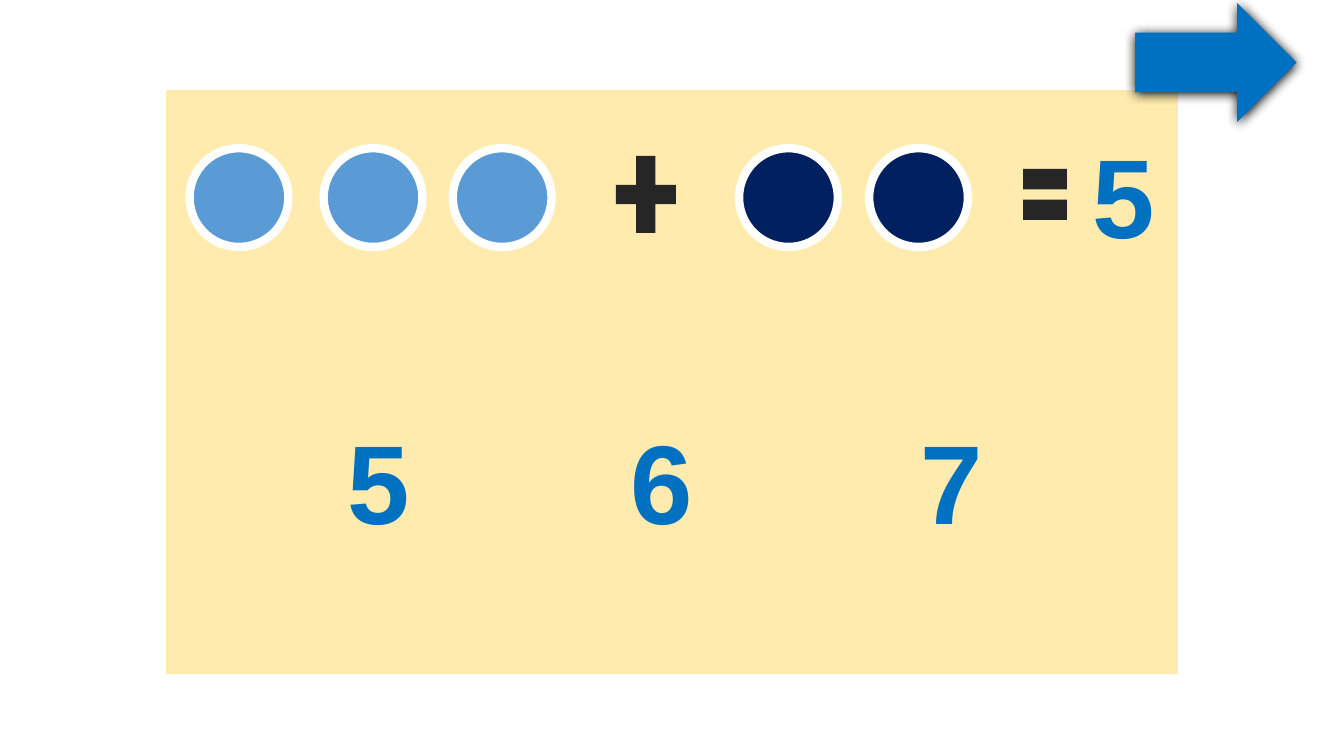
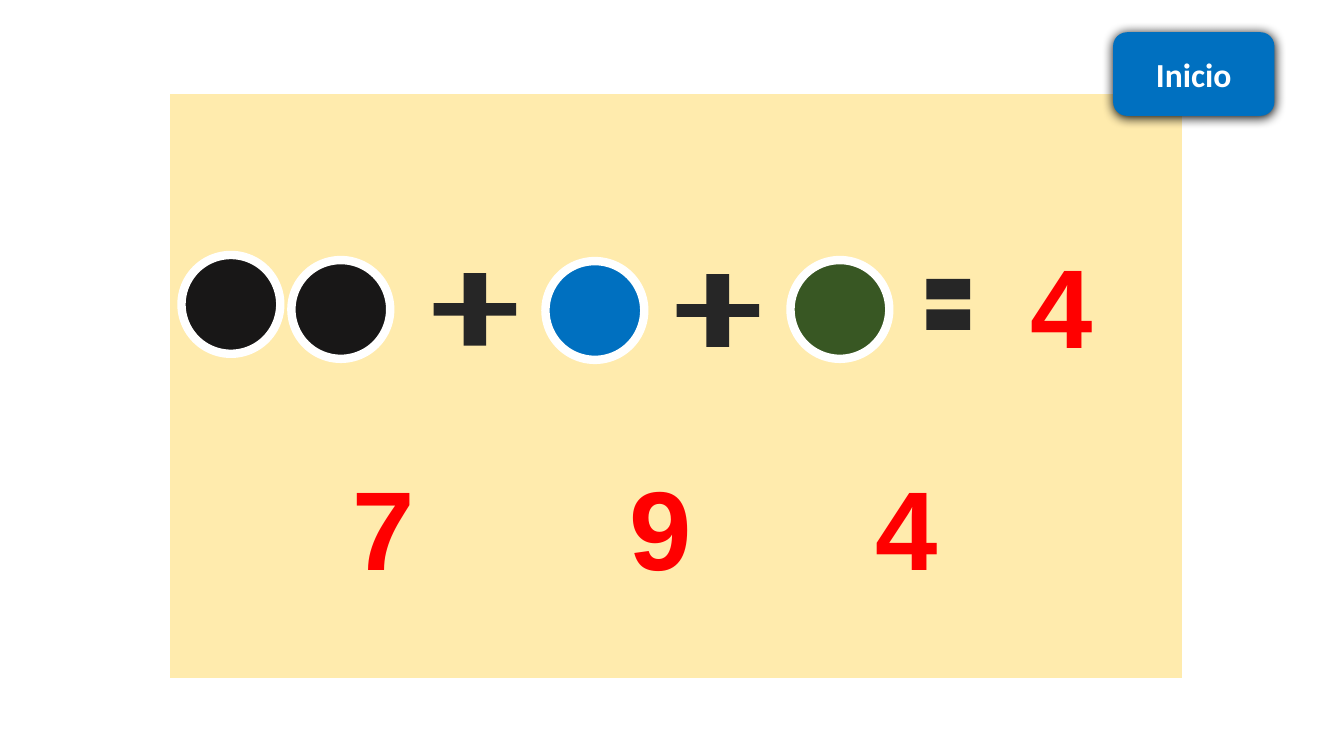
import pptx
import pptx.dml.color
import pptx.enum.shapes
import pptx.enum.text
import pptx.oxml
import pptx.oxml.ns
import pptx.util
from pptx.util import Inches

SHAPE = pptx.enum.shapes.MSO_SHAPE
COLORS = {
    "white": "FFFFFF",
    "cream": "FFE699",
    "blue": "0070C0",
    "sky": "5B9BD5",
    "navy": "002060",
    "black": "181717",
    "green": "385723",
    "sign": "262626",
    "red": "FF0000",
    "gold": "FFC000",
    "lime": "92D050",
    "shadow": "000000",
}
COUNTER_SIZE = 0.98
NUMBER_WIDTH, NUMBER_HEIGHT = 1.64, 1.45
NAMESPACE = pptx.oxml.ns.nsdecls("a")


def rgb(name):
    return pptx.dml.color.RGBColor.from_string(COLORS[name])


def add_figure(page, kind, left, top, width, height, fill, line_width=0):
    """Add a flat filled shape, with a white line if line_width is given."""
    figure = page.shapes.add_shape(
        kind, Inches(left), Inches(top), Inches(width), Inches(height))
    figure.shadow.inherit = False
    figure.fill.solid()
    figure.fill.fore_color.rgb = rgb(fill)
    if line_width:
        figure.line.color.rgb = rgb("white")
        figure.line.width = pptx.util.Pt(line_width)
    else:
        figure.line.fill.background()
    return figure


def add_panel(page, left, top):
    panel = add_figure(page, SHAPE.RECTANGLE, left, top, 10.1, 5.86, "cream", 4.5)
    color = panel.fill._xPr.find(".//" + pptx.oxml.ns.qn("a:srgbClr"))
    color.append(pptx.oxml.parse_xml(f'<a:alpha {NAMESPACE} val="80000"/>'))


def add_counter(page, left, top, fill):
    add_figure(page, SHAPE.OVAL, left, top, COUNTER_SIZE, COUNTER_SIZE, fill, 6)


def add_equals(page, left, top):
    add_figure(page, SHAPE.MATH_EQUAL, left, top, 0.59, 0.86, "sign")


def add_cross(page, left, top):
    cross = add_figure(page, SHAPE.CROSS, left, top, 0.82, 0.72, "sign")
    cross.adjustments[0] = 0.413


def add_button(page, kind, left, top, height):
    """Add a blue navigation shape with a soft shadow below it."""
    button = add_figure(page, kind, left, top, 1.6, height, "blue")
    effects = button._element.spPr.find(pptx.oxml.ns.qn("a:effectLst"))
    effects.append(pptx.oxml.parse_xml(
        f'<a:outerShdw {NAMESPACE} blurRad="{pptx.util.Pt(8.5)}" '
        f'dist="{pptx.util.Pt(1)}" dir="5400000" algn="ctr" rotWithShape="0">'
        f'<a:srgbClr val="{COLORS["shadow"]}"/></a:outerShdw>'))
    return button


def write(frame, text, font, size, color):
    """Write one centred bold paragraph and return it."""
    para = frame.paragraphs[0]
    para.text = text
    para.alignment = pptx.enum.text.PP_ALIGN.CENTER
    para.font.name = font
    para.font.size = pptx.util.Pt(size)
    para.font.bold = True
    para.font.color.rgb = rgb(color)
    return para


def add_number(page, text, left, top, color, outline, width=NUMBER_WIDTH):
    box = page.shapes.add_textbox(
        Inches(left), Inches(top), Inches(width), Inches(NUMBER_HEIGHT))
    frame = box.text_frame
    frame.word_wrap = True
    frame.auto_size = pptx.enum.text.MSO_AUTO_SIZE.SHAPE_TO_FIT_TEXT
    para = write(frame, text, "Arial", 80, color)
    properties = para._p.pPr.find(pptx.oxml.ns.qn("a:defRPr"))
    properties.insert(0, pptx.oxml.parse_xml(
        f'<a:ln {NAMESPACE} w="{pptx.util.Pt(4.5)}"><a:solidFill>'
        f'<a:srgbClr val="{COLORS[outline]}"/></a:solidFill></a:ln>'))


def add_choices(page, choices, top, color, outline):
    for text, left in choices:
        add_number(page, text, left, top, color, outline)


def build_two_groups(page):
    add_panel(page, 1.62, 0.86)
    add_button(page, SHAPE.RIGHT_ARROW, 11.26, 0.03, 1.18)
    for fill, lefts in (("sky", (1.88, 3.21, 4.49)), ("navy", (7.33, 8.62))):
        for left in lefts:
            add_counter(page, left, 1.47, fill)
    add_figure(page, SHAPE.MATH_PLUS, 6, 1.41, 0.81, 1.04, "sign")
    add_equals(page, 10.07, 1.5)
    add_number(page, "5", 10.57, 1.21, "blue", "gold", width=1.14)
    add_choices(page, (("5", 2.94), ("6", 5.74), ("7", 8.62)), 4.04, "blue", "gold")


def build_three_groups(page):
    add_panel(page, 1.66, 0.9)
    button = add_button(page, SHAPE.ROUNDED_RECTANGLE, 11.04, 0.32, 0.83)
    button.text_frame.vertical_anchor = pptx.enum.text.MSO_ANCHOR.MIDDLE
    write(button.text_frame, "Inicio", "Calibri", 24, "white")
    for left, top, fill in ((2.89, 2.58, "black"), (1.8, 2.53, "black"),
                            (5.41, 2.59, "blue"), (7.84, 2.58, "green")):
        add_counter(page, left, top, fill)
    add_cross(page, 4.3, 2.71)
    add_cross(page, 6.71, 2.72)
    add_equals(page, 9.11, 2.59)
    add_number(page, "4", 9.71, 2.3, "red", "lime")
    add_choices(page, (("7", 2.99), ("9", 5.73), ("4", 8.17)), 4.5, "red", "lime")


def main():
    deck = pptx.Presentation()
    deck.slide_width = Inches(13.33)
    deck.slide_height = Inches(7.5)
    blank = deck.slide_layouts[6]
    for build in (build_two_groups, build_three_groups):
        build(deck.slides.add_slide(blank))
    deck.save("out.pptx")


if __name__ == "__main__":
    main()
